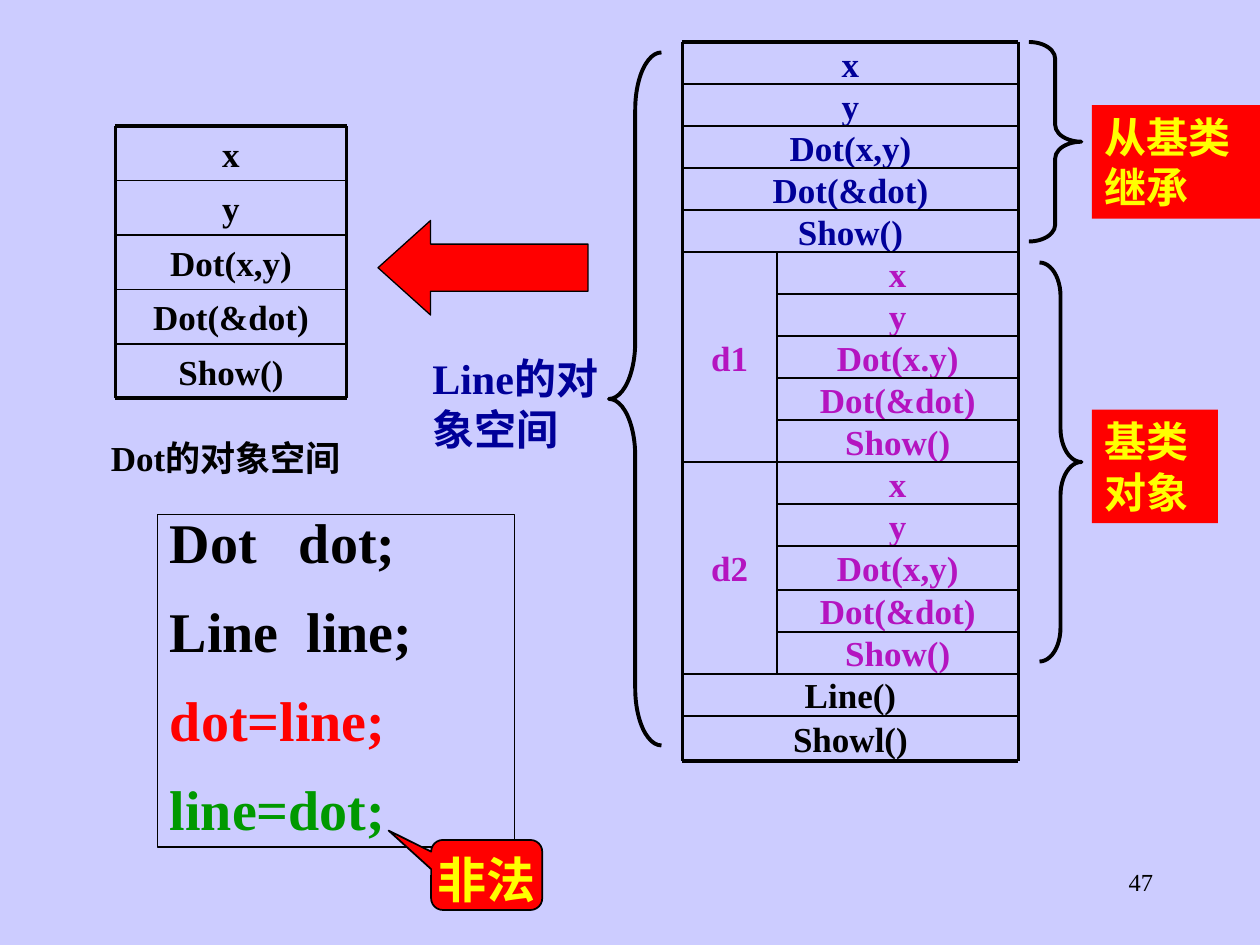
from itertools import accumulate
from typing import NamedTuple, Optional

from lxml import etree
from pptx import Presentation
from pptx.dml.color import RGBColor
from pptx.enum.shapes import MSO_CONNECTOR, MSO_SHAPE
from pptx.enum.text import MSO_ANCHOR, PP_ALIGN
from pptx.oxml.ns import qn
from pptx.util import Pt

LEFT, CENTER, RIGHT = PP_ALIGN.LEFT, PP_ALIGN.CENTER, PP_ALIGN.RIGHT
TOP, MIDDLE = MSO_ANCHOR.TOP, MSO_ANCHOR.MIDDLE
STRAIGHT = MSO_CONNECTOR.STRAIGHT
RECT, ARROW = MSO_SHAPE.RECTANGLE, MSO_SHAPE.LEFT_ARROW
CALLOUT = MSO_SHAPE.ROUNDED_RECTANGULAR_CALLOUT
LEFT_BRACE, RIGHT_BRACE = MSO_SHAPE.LEFT_BRACE, MSO_SHAPE.RIGHT_BRACE


class Theme:
    font = "Times New Roman"
    background, black, red = "CCCCFF", "000000", "FF0000"
    yellow, navy, purple, green = "FFFF00", "000099", "B414C0", "009900"
    number, cell, label, callout, code = 14, 20, 24, 28, 32
    hairline, thin, thick = 0.75, 1, 2.25


class Box(NamedTuple):
    left: float
    top: float
    width: float
    height: float


class Region(NamedTuple):
    """A cell of an object layout, with its place and span in the grid."""
    text: str
    color: str
    row: int
    col: int = 0
    rows: int = 1
    cols: int = 1


class Style(NamedTuple):
    size: float
    color: str
    bold: bool = True
    align: PP_ALIGN = LEFT


class Brace(NamedTuple):
    kind: MSO_SHAPE
    box: Box
    curl: float


def rgb(value: str) -> RGBColor:
    return RGBColor.from_string(value)


def format_paragraph(p, style: Style) -> None:
    p.alignment = style.align
    for r in p.runs:
        r.font.name = Theme.font
        r.font.size = Pt(style.size)
        r.font.bold = style.bold
        r.font.color.rgb = rgb(style.color)


def set_margins(tf, side: float, end: float) -> None:
    tf.margin_left = tf.margin_right = Pt(side)
    tf.margin_top = tf.margin_bottom = Pt(end)


def add_label(s, box: Box, text: str, style: Style, fill: Optional[str] = None):
    sp = s.shapes.add_textbox(*map(Pt, box))
    if fill:
        sp.fill.solid()
        sp.fill.fore_color.rgb = rgb(fill)
    tf = sp.text_frame
    tf.word_wrap = True
    tf.text = text
    format_paragraph(tf.paragraphs[0], style)
    return sp


def add_outlined(s, kind: MSO_SHAPE, box: Box, line: float,
                 fill: Optional[str] = None, adjustments: tuple = ()):
    sp = s.shapes.add_shape(kind, *map(Pt, box))
    sp.shadow.inherit = False
    for i, value in enumerate(adjustments):
        sp.adjustments[i] = value
    if fill:
        sp.fill.solid()
        sp.fill.fore_color.rgb = rgb(fill)
    else:
        sp.fill.background()
    sp.line.color.rgb = rgb(Theme.black)
    sp.line.width = Pt(line)
    sp.text_frame.vertical_anchor = TOP
    return sp


def add_rule(s, x1: float, y1: float, x2: float, y2: float,
             width: float) -> None:
    rule = s.shapes.add_connector(STRAIGHT, *map(Pt, (x1, y1, x2, y2)))
    rule.line.color.rgb = rgb(Theme.black)
    rule.line.width = Pt(width)
    etree.SubElement(rule._element.spPr, qn("a:effectLst"))


def add_layout(s, left: float, top: float, widths: list, heights: list,
               regions: list) -> None:
    """Draw an object layout: its cells, thin rules and a thick frame."""
    xs = list(accumulate(widths, initial=left))
    ys = list(accumulate(heights, initial=top))
    rule_starts, dividers = {}, []
    for region in regions:
        row_end = region.row + region.rows
        x1, x2 = xs[region.col], xs[region.col + region.cols]
        y1, y2 = ys[region.row], ys[row_end]
        sp = add_label(s, Box(x1, y1, x2 - x1, y2 - y1), region.text,
                       Style(Theme.cell, region.color, align=CENTER))
        set_margins(sp.text_frame, 0, 0)
        sp.text_frame.vertical_anchor = MIDDLE
        rule_starts[y2] = min(x1, rule_starts.get(y2, x1))
        if region.rows > 1:
            dividers.append((x2, y1, y2))

    del rule_starts[ys[-1]]
    for y, x in rule_starts.items():
        add_rule(s, x, y, xs[-1], y, Theme.thin)
    if dividers:
        x, start, _ = dividers[0]
        add_rule(s, x, start, x, dividers[-1][2], Theme.thin)
    for y in (ys[0], ys[-1]):
        add_rule(s, xs[0], y, xs[-1], y, Theme.thick)
    for x in (xs[0], xs[-1]):
        add_rule(s, x, ys[0], x, ys[-1], Theme.thick)


def add_code(s) -> None:
    lines = [("Dot   dot;", Theme.black), ("Line  line;", Theme.black),
             ("dot=line;", Theme.red), ("line=dot;", Theme.green)]
    sp = add_outlined(s, RECT, Box(90, 294, 204, 190), Theme.hairline)
    tf = sp.text_frame
    tf.word_wrap = True
    tf.text = "\n".join(text for text, _ in lines)
    for i, (p, (_, color)) in enumerate(zip(tf.paragraphs, lines)):
        p.line_spacing = 0.8
        p.space_before = Pt(20 if i else 0)
        format_paragraph(p, Style(Theme.code, color))


def add_callout(s) -> None:
    sp = add_outlined(s, CALLOUT, Box(246.4, 480, 63.5, 40), Theme.thin,
                      Theme.red, (-0.883, -0.635, 0.167))
    tf = sp.text_frame
    tf.word_wrap = False
    set_margins(tf, 1.5, 0)
    tf.text = "非法"
    tf.paragraphs[0].line_spacing = 1.1
    format_paragraph(tf.paragraphs[0],
                     Style(Theme.callout, Theme.yellow, align=CENTER))


def main() -> None:
    prs = Presentation()
    prs.slide_width, prs.slide_height = Pt(720), Pt(540)
    s = prs.slides.add_slide(prs.slide_layouts[6])
    s.background.fill.solid()
    s.background.fill.fore_color.rgb = rgb(Theme.background)

    add_label(s, Box(516, 492, 150, 36), "47",
              Style(Theme.number, Theme.black, bold=False, align=RIGHT))

    members = ["x", "y", "Dot(x,y)", "Dot(&dot)", "Show()"]
    add_layout(s, 66, 72, [132], [31.125] * 5,
               [Region(m, Theme.black, i) for i, m in enumerate(members)])
    add_label(s, Box(30, 246, 198, 31.5), "Dot的对象空间",
              Style(Theme.cell, Theme.black, align=CENTER))

    d1_members = ["x", "y", "Dot(x.y)", "Dot(&dot)", "Show()"]
    regions = [Region(m, Theme.navy, i, cols=2) for i, m in enumerate(members)]
    for name, start, parts in [("d1", 5, d1_members), ("d2", 10, members)]:
        regions.append(Region(name, Theme.purple, start, rows=5))
        regions += [Region(m, Theme.purple, start + i, col=1)
                    for i, m in enumerate(parts)]
    regions += [Region("Line()", Theme.black, 15, cols=2),
                Region("Showl()", Theme.black, 16, cols=2)]
    heights = [24] * 12 + [25] + [24] * 3 + [26]
    add_layout(s, 390, 24, [54, 138], heights, regions)

    for brace in [Brace(LEFT_BRACE, Box(348, 30, 30, 396), 1.09),
                  Brace(RIGHT_BRACE, Box(588, 24, 30, 114), 0.32),
                  Brace(RIGHT_BRACE, Box(594, 150, 24, 228), 0.8)]:
        add_outlined(s, brace.kind, brace.box, Theme.thick,
                     adjustments=(brace.curl, 0.5))

    add_label(s, Box(240, 198, 114, 65), "Line的对象空间",
              Style(Theme.label, Theme.navy))
    for box, text in [(Box(624, 60, 96, 65), "从基类继承"),
                      (Box(624, 234, 72, 65), "基类对象")]:
        add_label(s, box, text, Style(Theme.label, Theme.yellow), Theme.red)

    add_outlined(s, ARROW, Box(216, 126, 120, 54), Theme.hairline,
                 Theme.red, (0.5, 0.556))
    add_code(s)
    add_callout(s)
    prs.save("out.pptx")


if __name__ == "__main__":
    main()
